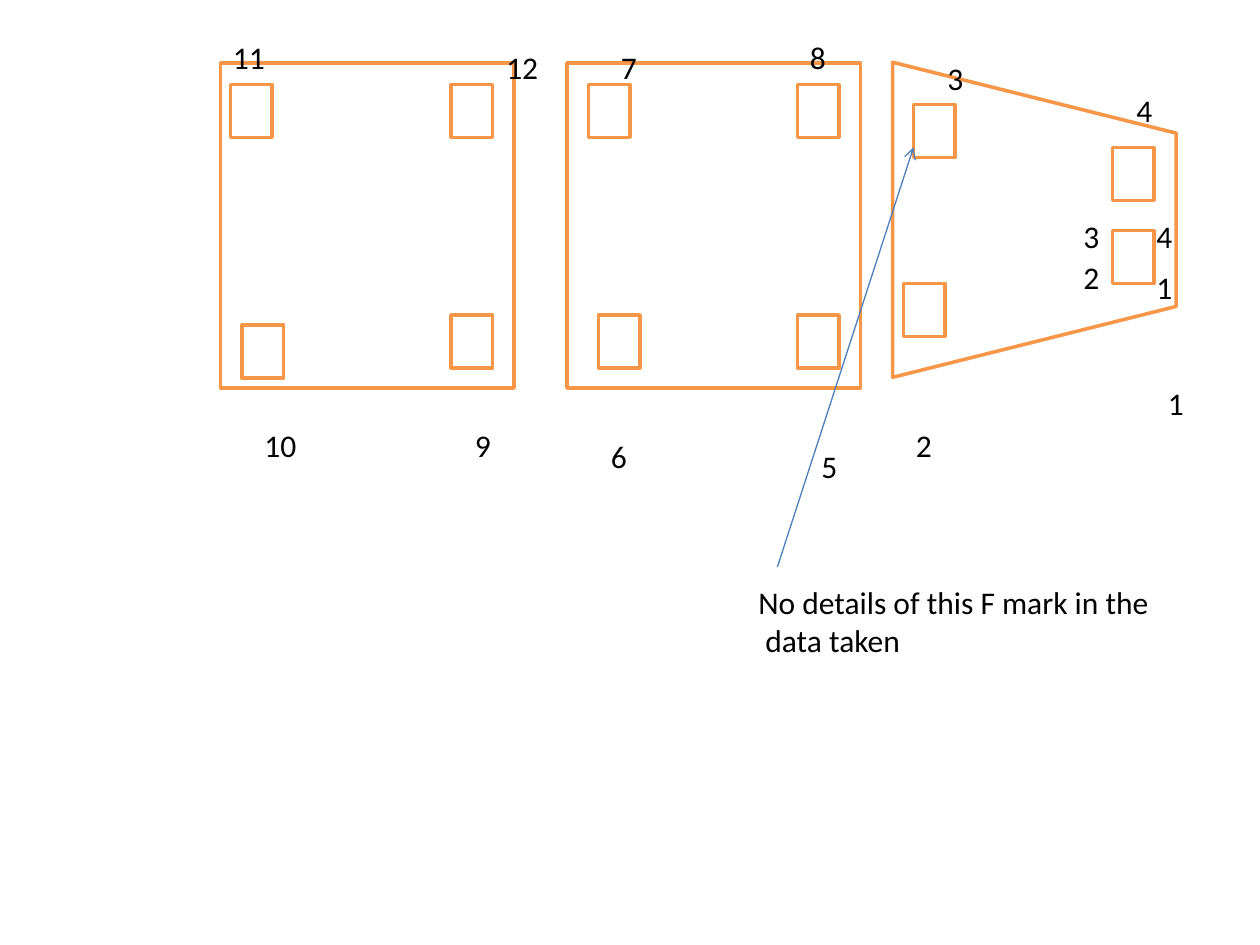
"""Build a slide of three panels with numbered corner marks and one note."""
from lxml import etree
from pptx import Presentation
from pptx.dml.color import RGBColor
from pptx.enum.shapes import MSO_CONNECTOR, MSO_SHAPE
from pptx.enum.text import MSO_AUTO_SIZE
from pptx.oxml.ns import qn
from pptx.util import Inches, Pt

RECT = MSO_SHAPE.RECTANGLE
TRAP = MSO_SHAPE.TRAPEZOID
STRAIGHT = MSO_CONNECTOR.STRAIGHT
FIT = MSO_AUTO_SIZE.SHAPE_TO_FIT_TEXT
WHITE = RGBColor(0xFF, 0xFF, 0xFF)
BLACK = RGBColor(0, 0, 0)
ORANGE = RGBColor(0xF7, 0x96, 0x46)
BLUE = RGBColor(0x4B, 0x7E, 0xBC)

PANELS = [(4.5, 0.5), (1.75, 0.5)]
PANEL_SIZE = (2.33, 2.58)
MARK_SIZE = (0.33, 0.42)
NOSE_MARKS = [(7.25, 0.83), (8.83, 1.83), (8.83, 1.17), (7.17, 2.25)]
PANEL_MARKS = [
    (3.58, 0.67), (6.33, 0.67), (6.33, 2.5), (4.75, 2.5),
    (1.83, 0.67), (1.92, 2.58), (3.58, 2.5), (4.67, 0.67),
]
LABELS = [
    ("1", 9.17, 3), ("2", 7.17, 3.33), ("3", 7.42, 0.42), ("4", 8.92, 0.67),
    ("5", 6.42, 3.5), ("6", 4.75, 3.42), ("7", 4.83, 0.33), ("8", 6.33, 0.25),
    ("9", 3.67, 3.33), ("10", 2, 3.33), ("11", 1.75, 0.25), ("12", 3.92, 0.33),
    ("1", 9.08, 2.08), ("2", 8.5, 2), ("3", 8.5, 1.67), ("4", 9.08, 1.67),
]
NOTE = "No details of this F mark in the\n data taken"


def add_box(slide, kind, spot, size):
    box = slide.shapes.add_shape(kind, *map(Inches, spot + size))
    box.shadow.inherit = False
    box.fill.solid()
    box.fill.fore_color.rgb = WHITE
    box.line.color.rgb = ORANGE
    box.line.width = Pt(2)
    return box


def add_text(slide, text, spot, size):
    frame = slide.shapes.add_textbox(*map(Inches, spot + size)).text_frame
    frame.word_wrap = False
    frame.auto_size = FIT
    frame.text = text
    for para in frame.paragraphs:
        for run in para.runs:
            run.font.name = "Calibri"
            run.font.size = Pt(18)
            run.font.color.rgb = BLACK


def add_arrow(slide, start, end):
    arrow = slide.shapes.add_connector(STRAIGHT, *map(Inches, start + end))
    arrow.line.color.rgb = BLUE
    arrow.line.width = Pt(0.75)
    etree.SubElement(arrow.line._get_or_add_ln(), qn("a:tailEnd"), type="arrow")
    etree.SubElement(arrow._element.spPr, qn("a:effectLst"))


def main():
    deck = Presentation()
    deck.slide_width, deck.slide_height = Inches(10), Inches(7.5)
    slide = deck.slides.add_slide(deck.slide_layouts[6])

    add_box(slide, TRAP, (6.96, 0.62), (2.5, 2.25)).rotation = 90
    for spot in NOSE_MARKS:
        add_box(slide, RECT, spot, MARK_SIZE)
    for spot in PANELS:
        add_box(slide, RECT, spot, PANEL_SIZE)
    for spot in PANEL_MARKS:
        add_box(slide, RECT, spot, MARK_SIZE)

    for text, left, top in LABELS:
        width = 0.2 + 0.13 * len(text)
        add_text(slide, text, (left, top), (width, 0.4))
    add_arrow(slide, (6.17, 4.5), (7.25, 1.17))
    add_text(slide, NOTE, (5.92, 4.58), (3.39, 0.71))
    deck.save("out.pptx")


if __name__ == "__main__":
    main()
